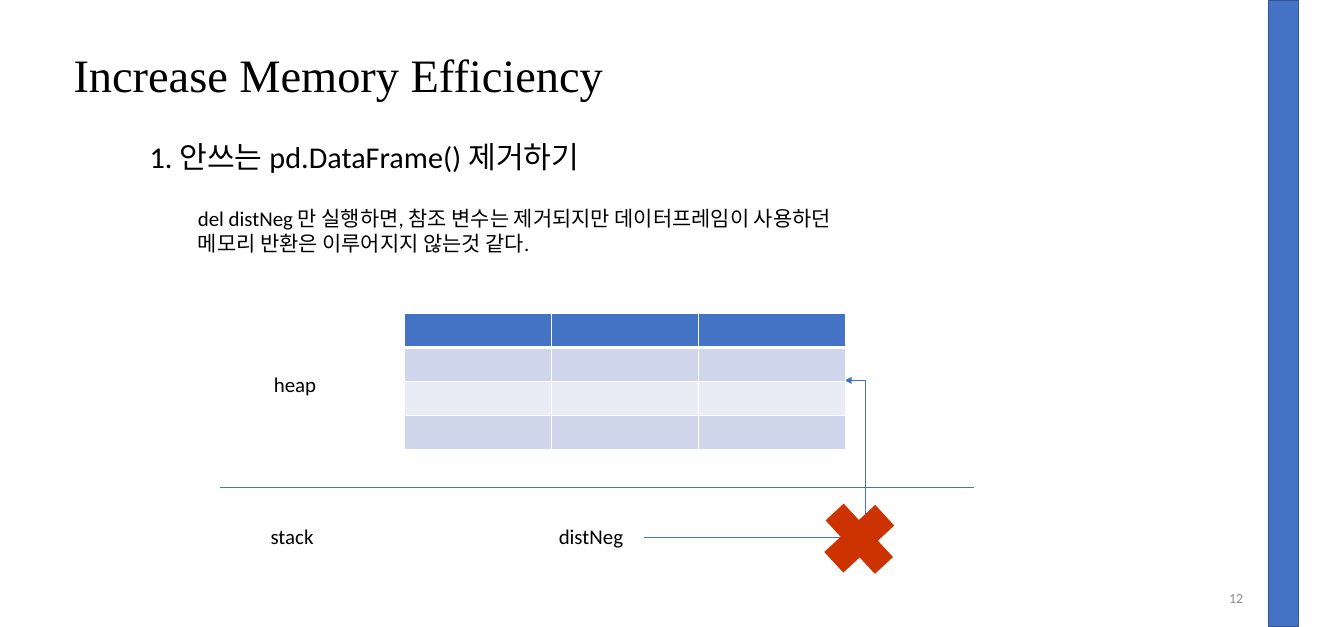
from lxml import etree
from pptx import Presentation
from pptx.dml.color import RGBColor
from pptx.enum.shapes import MSO_CONNECTOR, MSO_SHAPE
from pptx.enum.text import MSO_ANCHOR, MSO_AUTO_SIZE, PP_ALIGN
from pptx.oxml.ns import qn
from pptx.util import Inches, Pt

LEFT, RIGHT = PP_ALIGN.LEFT, PP_ALIGN.RIGHT
TOP, MIDDLE = MSO_ANCHOR.TOP, MSO_ANCHOR.MIDDLE
NO_AUTOFIT = MSO_AUTO_SIZE.NONE
STRAIGHT, ELBOW = MSO_CONNECTOR.STRAIGHT, MSO_CONNECTOR.ELBOW
RECTANGLE, CROSS = MSO_SHAPE.RECTANGLE, MSO_SHAPE.CROSS

BLACK, WHITE, GRAY = "000000", "FFFFFF", "8C8C8C"
BLUE, DARK_BLUE, RED = "4472C4", "325491", "CC3300"
ROW_FILLS = [BLUE, "CFD5EA", "E9EBF5", "CFD5EA"]
COLUMN_COUNT = 3

LABELS = [
    ("stack", (3.14, 6.21, 1.03, 0.4)),
    ("heap", (3.18, 4.4, 1.19, 0.4)),
    ("distNeg", (6.59, 6.22, 1.13, 0.4)),
    ("del distNeg 만 실행하면, 참조 변수는 제거되지만 데이터프레임이 사용하던 "
     "메모리 반환은 이루어지지 않는것 같다.", (2.27, 2.41, 8.27, 0.71)),
]


def color(value):
    """Turn a hex string into a colour."""
    return RGBColor.from_string(value)


def inches(values):
    """Turn a sequence of numbers into lengths."""
    return [Inches(value) for value in values]


def write_text(shape, text, size, font="Calibri", ink=BLACK, align=LEFT, anchor=TOP):
    """Fill a shape with one formatted paragraph."""
    frame = shape.text_frame
    frame_format = {"word_wrap": True, "auto_size": NO_AUTOFIT, "vertical_anchor": anchor}
    for name, value in frame_format.items():
        setattr(frame, name, value)
    paragraph = frame.paragraphs[0]
    paragraph_format = {"alignment": align, "space_before": Pt(0), "line_spacing": 1.0}
    for name, value in paragraph_format.items():
        setattr(paragraph, name, value)
    run = paragraph.add_run()
    run.text = text
    for name, value in {"name": font, "size": Pt(size)}.items():
        setattr(run.font, name, value)
    run.font.color.rgb = color(ink)
    return paragraph


def place(shape, box):
    """Move a placeholder to a box of left, top, width and height."""
    for name, value in zip(("left", "top", "width", "height"), inches(box)):
        setattr(shape, name, value)


def remove_bullet(paragraph):
    """Drop the bullet and the hanging indent of a body paragraph."""
    properties = paragraph._p.get_or_add_pPr()
    for name in ("marL", "indent"):
        properties.set(name, "0")
    etree.SubElement(properties, qn("a:buNone"))


def add_text(slide, text, box, size, **text_format):
    """Add a text box."""
    write_text(slide.shapes.add_textbox(*inches(box)), text, size, **text_format)


def add_filled_shape(slide, kind, box, fill, outline=None):
    """Add a plain preset shape with an optional outline."""
    shape = slide.shapes.add_shape(kind, *inches(box))
    shape.shadow.inherit = False
    shape.fill.solid()
    shape.fill.fore_color.rgb = color(fill)
    if outline:
        shape.line.color.rgb = color(outline)
        shape.line.width = Pt(1)
    else:
        shape.line.fill.background()
    return shape


def add_line(slide, kind, start, end):
    """Add a thin blue connector."""
    connector = slide.shapes.add_connector(kind, *inches(start + end))
    connector.line.color.rgb = color(BLUE)
    connector.line.width = Pt(0.5)
    etree.SubElement(connector._element.spPr, qn("a:effectLst"))
    return connector


def add_reference_arrow(slide, start, end, bend):
    """Add an elbow arrow whose bend is a share of its width."""
    connector = add_line(slide, ELBOW, start, end)
    geometry = connector._element.spPr.find(qn("a:prstGeom"))
    guides = geometry.find(qn("a:avLst"))
    if guides is None:
        guides = etree.SubElement(geometry, qn("a:avLst"))
    etree.SubElement(guides, qn("a:gd"), name="adj1", fmla=f"val {round(bend * 100000)}")
    line = connector.line._get_or_add_ln()
    etree.SubElement(line, qn("a:tailEnd"), type="triangle")


def add_border(cell, side, points):
    """Draw one white border of a cell."""
    properties = cell._tc.get_or_add_tcPr()
    border = etree.SubElement(properties, qn(f"a:ln{side}"), w=str(Pt(points)))
    fill = etree.SubElement(border, qn("a:solidFill"))
    etree.SubElement(fill, qn("a:srgbClr"), val=WHITE)


def add_data_frame(slide, box):
    """Add the empty banded table that stands for the data frame."""
    frame = slide.shapes.add_table(len(ROW_FILLS), COLUMN_COUNT, *inches(box))
    for row_index, fill in enumerate(ROW_FILLS):
        for column_index in range(COLUMN_COUNT):
            cell = frame.table.cell(row_index, column_index)
            top = 3 if row_index == 1 else 1
            bottom = 3 if row_index == 0 else 1
            for side, points in {"L": 1, "R": 1, "T": top, "B": bottom}.items():
                add_border(cell, side, points)
            cell.fill.solid()
            cell.fill.fore_color.rgb = color(fill)


def main():
    """Build the slide and save it."""
    presentation = Presentation()
    presentation.slide_width = Inches(16.087)
    presentation.slide_height = Inches(7.5)
    slide = presentation.slides.add_slide(presentation.slide_layouts[1])

    title, body = slide.placeholders
    place(title, (0.78, 0.5, 7.68, 0.77))
    write_text(title, "Increase Memory Efficiency", 40, font="Times New Roman")
    place(body, (1.69, 1.6, 6.44, 0.54))
    remove_bullet(write_text(body, "1. 안쓰는 pd.DataFrame() 제거하기", 26))

    for text, box in LABELS:
        add_text(slide, text, box, 18)

    add_line(slide, STRAIGHT, (2.63, 5.83), (11.66, 5.83))
    add_reference_arrow(slide, (7.71, 6.43), (10.11, 4.55), bend=1.104)
    add_data_frame(slide, (4.84, 3.75, 5.28, 1.6))

    removal_mark = add_filled_shape(slide, CROSS, (9.85, 6.03, 0.87, 0.83), RED)
    removal_mark.adjustments[0] = 0.322
    removal_mark.rotation = 47.3

    add_text(slide, "12", (11.36, 6.95, 3.62, 0.4), 12, ink=GRAY, align=RIGHT, anchor=MIDDLE)
    add_filled_shape(slide, RECTANGLE, (15.18, 0, 0.36, 7.5), BLUE, DARK_BLUE)

    presentation.save("out.pptx")


main()
